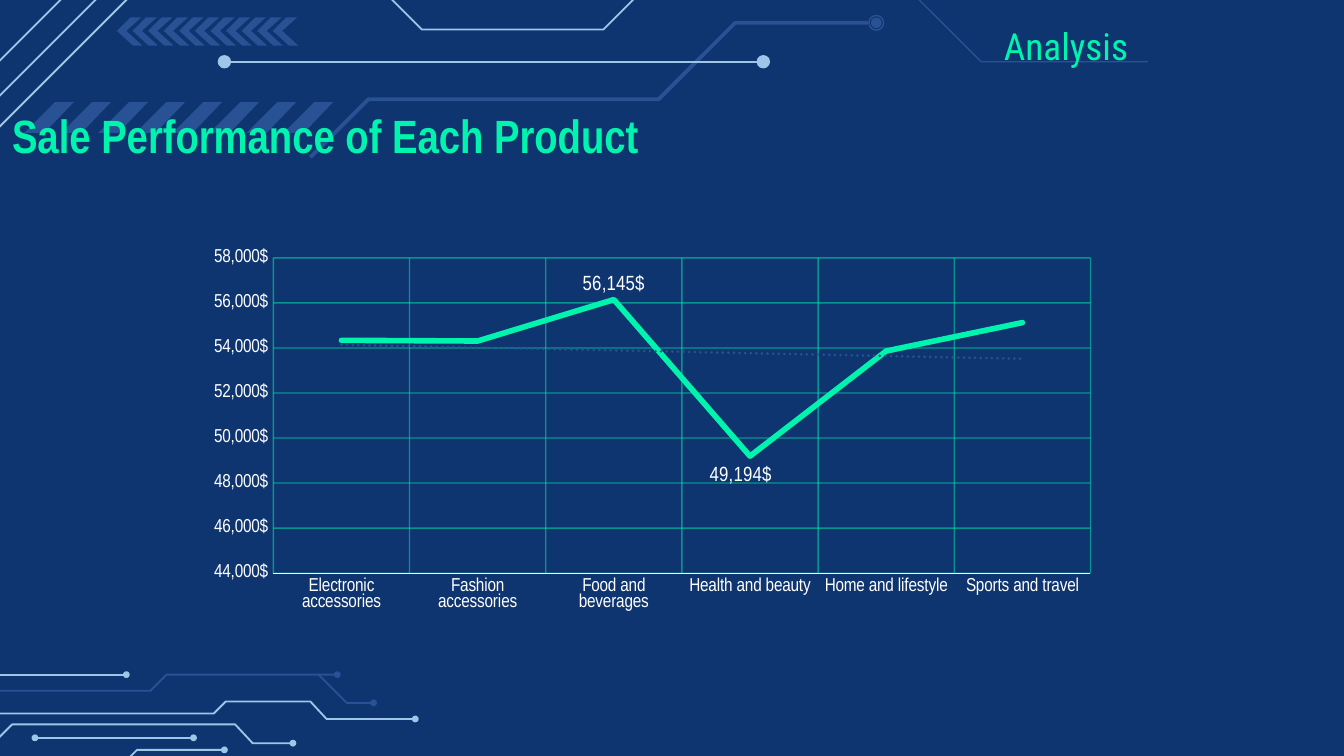
import pptx
import pptx.chart.data
import pptx.dml.color
import pptx.enum.chart
import pptx.enum.shapes
import pptx.enum.text
import pptx.oxml
import pptx.oxml.ns
import pptx.util

Inches, Pt = pptx.util.Inches, pptx.util.Pt
RGBColor = pptx.dml.color.RGBColor
ALIGN = pptx.enum.text.PP_ALIGN
ANCHOR = pptx.enum.text.MSO_ANCHOR
LABEL = pptx.enum.chart.XL_LABEL_POSITION
qn = pptx.oxml.ns.qn

NAVY = RGBColor(0x0F, 0x35, 0x70)
BLUE = RGBColor(0x28, 0x52, 0x93)
SKY = RGBColor(0x9F, 0xC5, 0xE8)
MINT = RGBColor(0x00, 0xF4, 0xAD)
WHITE = RGBColor(0xFF, 0xFF, 0xFF)
NARROW = "Arial Narrow"
DOLLARS = '#,##0"$";\\-#,##0"$"'


def chart_xml(text):
    return pptx.oxml.parse_xml(text.replace(">", " %s>" % pptx.oxml.ns.nsdecls("c", "a"), 1))


class Deck:
    """Holds the presentation, its style and the current slide."""

    def __init__(self, width):
        self.prs = pptx.Presentation()
        self.prs.slide_width = Inches(width)
        self.prs.slide_height = Inches(width * 9 / 16)
        self.s = None

    def add_slide(self, color):
        self.s = self.prs.slides.add_slide(self.prs.slide_layouts[6])
        self.s.background.fill.solid()
        self.s.background.fill.fore_color.rgb = color

    def paint(self, sp, fill=None, line=None, width=1):
        sp.shadow.inherit = False
        for part, color in ((sp.fill, fill), (sp.line.fill, line)):
            if color is None:
                part.background()
            else:
                part.solid()
                part.fore_color.rgb = color
        if line is not None:
            sp.line.width = Pt(width)

    def outline(self, points, closed):
        pts = [(Inches(x), Inches(y)) for x, y in points]
        fb = self.s.shapes.build_freeform(*pts[0], scale=1.0)
        fb.add_line_segments(pts[1:], close=closed)
        return fb.convert_to_shape()

    def trace(self, points, color, width=1):
        self.paint(self.outline(points, False), line=color, width=width)

    def polygon(self, points, color):
        self.paint(self.outline(points, True), fill=color)

    def dot(self, x, y, d, fill=None, line=None, width=0.75):
        sp = self.s.shapes.add_shape(pptx.enum.shapes.MSO_SHAPE.OVAL, Inches(x - d / 2),
                                     Inches(y - d / 2), Inches(d), Inches(d))
        self.paint(sp, fill, line, width)

    def font(self, f, size, name=NARROW, color=WHITE, bold=False):
        f.size, f.name, f.bold = Pt(size), name, bold
        f.color.rgb = color

    def text(self, box, text, size, name, align=ALIGN.LEFT, bold=False, inset=0.1):
        sp = self.s.shapes.add_textbox(*map(Inches, box))
        tf = sp.text_frame
        tf.word_wrap = True
        tf.vertical_anchor = ANCHOR.MIDDLE
        tf.margin_left = tf.margin_right = Inches(inset)
        tf.margin_top = tf.margin_bottom = Inches(inset / 2)
        p = tf.paragraphs[0]
        p.alignment = align
        r = p.add_run()
        r.text = text
        self.font(r.font, size, name, MINT, bold)

    def style_axis(self, axis):
        self.font(axis.tick_labels.font, 10)
        axis.major_tick_mark = axis.minor_tick_mark = pptx.enum.chart.XL_TICK_MARK.NONE
        axis.has_major_gridlines = True
        grid = axis.major_gridlines.format.line
        grid.width = Pt(0.75)
        grid.color.rgb = MINT
        for clr in axis.major_gridlines._xAx.find(qn("c:majorGridlines")).iter(qn("a:srgbClr")):
            clr.append(chart_xml('<a:alpha val="50000"></a:alpha>'))

    def line_chart(self, box, data, low, high, step, plot, labels):
        cd = pptx.chart.data.CategoryChartData(number_format=DOLLARS)
        cd.categories = list(data)
        cd.add_series("Series 1", list(data.values()))
        chart = self.s.shapes.add_chart(pptx.enum.chart.XL_CHART_TYPE.LINE,
                                        *map(Inches, box), cd).chart
        chart.has_legend = chart.has_title = False
        self.font(chart.font, 10, "Arial")

        # Axes
        cat, val = chart.category_axis, chart.value_axis
        self.style_axis(cat)
        self.style_axis(val)
        cat.format.line.color.rgb = WHITE
        cat.format.line.width = Pt(0.75)
        val.format.line.fill.background()
        val.minimum_scale, val.maximum_scale, val.major_unit = low, high, step
        val.tick_labels.number_format = DOLLARS
        val.tick_labels.number_format_is_linked = False

        # Series and point labels
        chart.plots[0].vary_by_categories = False
        ser = chart.plots[0].series[0]
        ser.smooth = False
        ser.marker.style = pptx.enum.chart.XL_MARKER_STYLE.NONE
        ser.format.line.color.rgb = MINT
        ser.format.line.width = Pt(3)
        ser._element.find(qn("c:spPr")).find(qn("a:ln")).set("cap", "rnd")
        ser.data_labels.show_value = False
        for i, (position, dx, dy) in labels.items():
            label = ser.points[i].data_label
            self.font(label.font, 11)
            label.position = position
            if dx or dy:
                idx = ser._element.xpath(f'c:dLbls/c:dLbl/c:idx[@val="{i}"]')[0]
                idx.addnext(chart_xml(f'<c:layout><c:manualLayout><c:x val="{dx}"/>'
                                      f'<c:y val="{dy}"/></c:manualLayout></c:layout>'))

        # Trend line and plot area
        ser._element.find(qn("c:cat")).addprevious(chart_xml(
            '<c:trendline><c:spPr><a:ln w="19050" cap="rnd"><a:solidFill>'
            f'<a:srgbClr val="{BLUE}"/></a:solidFill><a:prstDash val="sysDot"/></a:ln></c:spPr>'
            '<c:trendlineType val="linear"/><c:dispRSqr val="0"/><c:dispEq val="0"/>'
            '</c:trendline>'))
        area = chart._chartSpace.chart.plotArea
        for old in area.findall(qn("c:layout")):
            area.remove(old)
        sizes = "".join(f'<c:{k} val="{v}"/>' for k, v in zip("xywh", plot))
        area.insert(0, chart_xml(
            '<c:layout><c:manualLayout><c:layoutTarget val="inner"/><c:xMode val="edge"/>'
            f'<c:yMode val="edge"/>{sizes}</c:manualLayout></c:layout>'))


def main():
    d = Deck(10)
    d.add_slide(NAVY)

    # Top circuit lines
    d.trace([(-0.19, 1.13), (1.27, -0.33), (2.59, -0.33), (3.14, 0.22), (4.49, 0.22),
             (5.29, -0.58), (6.04, -0.58)], SKY)
    d.trace([(2.31, 1.17), (2.74, 0.74), (4.9, 0.74), (5.47, 0.17), (6.46, 0.17)], BLUE, 2)
    d.trace([(5.85, -0.05), (6.79, -0.05), (7.3, 0.46), (8.54, 0.46)], BLUE, 0.75)
    d.dot(6.52, 0.17, 0.11, line=BLUE)
    d.dot(6.52, 0.17, 0.08, fill=BLUE)
    d.trace([(1.67, 0.46), (5.68, 0.46)], SKY)
    for x in (1.67, 5.68):
        d.dot(x, 0.46, 0.1, fill=SKY)
    for x, y in ((-0.43, 1.14), (-0.61, 1.06)):
        d.trace([(x, y), (x + 1.47, y - 1.47)], SKY)

    # Slanted bars and chevrons
    for i in range(8):
        x = 0.18 + i * 1.93 / 7
        d.polygon([(x, 0.99), (x + 0.23, 0.76), (x + 0.37, 0.76), (x + 0.15, 0.99)], BLUE)
    for i in range(11):
        x = 0.87 + i * 1.16 / 10
        d.polygon([(x, 0.23), (x + 0.1, 0.13), (x + 0.18, 0.13), (x + 0.07, 0.23),
                   (x + 0.19, 0.34), (x + 0.12, 0.34)], BLUE)

    # Bottom circuit lines, each ending in a dot
    circuits = [
        (SKY, [(-0.69, 5.31), (1.59, 5.31), (1.68, 5.22), (2.31, 5.22), (2.43, 5.35), (3.09, 5.35)]),
        (BLUE, [(-0.05, 5.14), (1.12, 5.14), (1.24, 5.02), (2.51, 5.02)]),
        (BLUE, [(2.37, 5.02), (2.58, 5.23), (2.78, 5.23)]),
        (SKY, [(-0.12, 5.02), (0.94, 5.02)]),
        (SKY, [(-0.1, 5.58), (0.09, 5.39), (1.75, 5.39), (1.88, 5.53), (2.18, 5.53)]),
        (SKY, [(0.26, 5.49), (1.44, 5.49)]),
        (SKY, [(-0.1, 6.07), (0.27, 5.7), (0.9, 5.7), (1.02, 5.58), (1.67, 5.58)]),
    ]
    for color, points in circuits:
        d.trace(points, color)
        d.dot(*points[-1], 0.04, color, color)
    d.dot(0.26, 5.49, 0.04, SKY, SKY)

    # Title, chart and section name
    d.text((-0.48, 0.72, 5.23, 0.56), "Sale Performance of Each Product", 25, NARROW,
           ALIGN.RIGHT, True, 0)
    sales = {"Electronic accessories": 54338, "Fashion accessories": 54306,
             "Food and beverages": 56145, "Health and beauty": 49194,
             "Home and lifestyle": 53862, "Sports and travel": 55123}
    d.line_chart((1.55, 1.43, 6.91, 3.26), sales, 44000, 58000, 2000, (0.07, 0.15, 0.88, 0.72),
                 {2: (LABEL.ABOVE, 0, 0), 3: (LABEL.BELOW, -0.01, 0.01)})
    d.text((7.37, 0.12, 1.41, 0.44), "Analysis", 20, "Roboto Condensed")
    d.prs.save("out.pptx")


if __name__ == "__main__":
    main()
